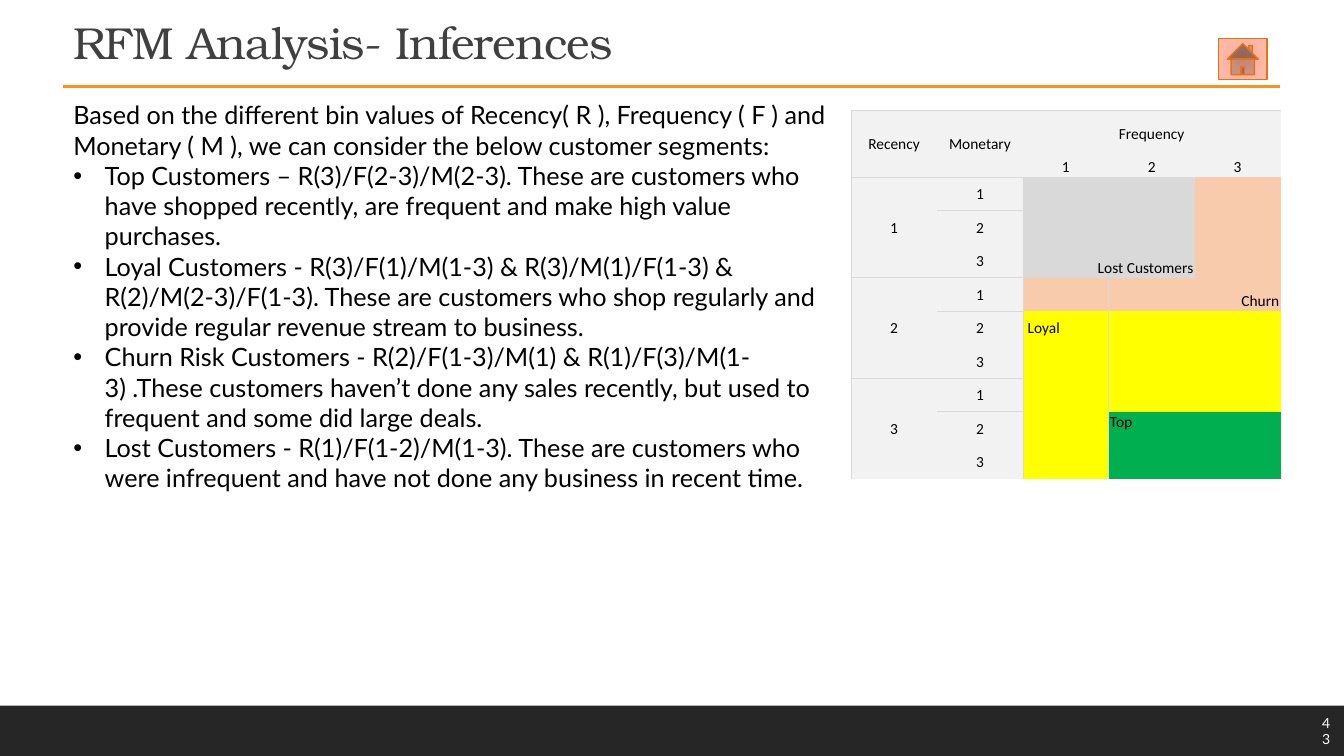
import pptx
import pptx.dml.color
import pptx.enum.shapes
import pptx.enum.text
import pptx.oxml
import pptx.oxml.ns
import pptx.util
from lxml import etree

Cm = pptx.util.Cm
Pt = pptx.util.Pt
ALIGN = pptx.enum.text.PP_ALIGN
ANCHOR = pptx.enum.text.MSO_ANCHOR
SHAPE = pptx.enum.shapes.MSO_SHAPE
qn = pptx.oxml.ns.qn

GREY, RULE = "F2F2F2", "D9D9D9"
LOST, CHURN, LOYAL, TOP = "D9D9D9", "F8CBAD", "FFFF00", "00B050"
NO_STYLE = "{2D5ABB26-0587-4C30-8999-92F81FD0307C}"

INTRO = ("Based on the different bin values of Recency( R ), Frequency ( F ) and Monetary ( M ), "
         "we can consider the below customer segments:")
POINTS = [
    "Top Customers – R(3)/F(2-3)/M(2-3). These are customers who have shopped recently, "
    "are frequent and make high value purchases.",
    "Loyal Customers - R(3)/F(1)/M(1-3) & R(3)/M(1)/F(1-3) & R(2)/M(2-3)/F(1-3). "
    "These are customers who shop regularly and provide regular revenue stream to business.",
    "Churn Risk Customers - R(2)/F(1-3)/M(1) & R(1)/F(3)/M(1-3) .These customers haven’t done "
    "any sales recently, but used to frequent and some did large deals.",
    "Lost Customers - R(1)/F(1-2)/M(1-3). These are customers who were infrequent and have "
    "not done any business in recent time.",
]


def color(code):
    """Turn a hex string into a colour."""
    return pptx.dml.color.RGBColor.from_string(code)


def style(para, font, size, code):
    """Format the runs of a paragraph."""
    for run in para.runs:
        run.font.name = font
        run.font.size = Pt(size)
        run.font.color.rgb = color(code)


def text_box(slide, box, lines, font, size, code):
    """Place wrapped text in a box and return its frame."""
    frame = slide.shapes.add_textbox(*map(Cm, box)).text_frame
    frame.word_wrap = True
    frame.text = "\n".join(lines)
    for para in frame.paragraphs:
        style(para, font, size, code)
    return frame


def header(slide, box):
    """Draw the title, the line below it and the home button."""
    left, top, width, height = box
    frame = text_box(slide, box, ["RFM Analysis- Inferences"], "TeX Gyre Bonum", 32, "404040")
    para = frame.paragraphs[0]
    para.line_spacing = 0.9
    para.runs[0].font._element.set("spc", "-50")
    base = Cm(top + height + 0.17)
    line = slide.shapes.add_connector(pptx.enum.shapes.MSO_CONNECTOR.STRAIGHT,
                                      Cm(left), base, Cm(left + width), base)
    line.line.color.rgb = color("F8931D")
    line.line.width = Pt(2.5)
    etree.SubElement(line._element.spPr, qn("a:effectLst"))
    home(slide, (left + width - 1.55, top + 0.56, 1.22, 1.04))


def home(slide, box):
    """Draw the home button with its soft gradient."""
    shape = slide.shapes.add_shape(SHAPE.ACTION_BUTTON_HOME, *map(Cm, box))
    shape.shadow.inherit = False
    shape.line.color.rgb = color("EC7016")
    shape.line.width = Pt(1)
    stops = "".join(f'<a:gs pos="{pos}"><a:srgbClr val="{code}"/></a:gs>' for pos, code in
                    [(0, "F6A791"), (45000, "FAB6A4"), (100000, "FFBCAA")])
    fill = pptx.oxml.parse_xml(
        f'<a:gradFill {pptx.oxml.ns.nsdecls("a")}><a:gsLst>{stops}</a:gsLst><a:path path="circle">'
        '<a:fillToRect l="100000" t="100000" r="100000" b="100000"/></a:path></a:gradFill>')
    shape._element.spPr.insert(2, fill)


def body(slide, box):
    """Write the intro and the bulleted customer segments."""
    frame = text_box(slide, box, [INTRO, *POINTS], "Lato", 18, "000000")
    for para in frame.paragraphs[1:]:
        props = para._p.get_or_add_pPr()
        props.set("marL", str(Cm(0.79)))
        props.set("indent", str(-Cm(0.79)))
        etree.SubElement(props, qn("a:buFont")).set("typeface", "Arial")
        etree.SubElement(props, qn("a:buChar")).set("char", "•")


def footer(slide, box):
    """Draw the dark bar and the page number at its right end."""
    left, top, width, height = box
    bar = slide.shapes.add_shape(SHAPE.RECTANGLE, *map(Cm, box))
    bar.shadow.inherit = False
    bar.fill.solid()
    bar.fill.fore_color.rgb = color("262626")
    bar.line.fill.background()
    frame = text_box(slide, (left + width - 0.8, top + 0.13, 0.56, 1.02), ["43"],
                     "Lato", 10, "FFFFFF")
    frame.vertical_anchor = ANCHOR.MIDDLE
    frame.paragraphs[0].alignment = ALIGN.JUSTIFY


def segment(rec, mon, freq):
    """Return the fill of the segment for three bin values."""
    if rec == 1:
        return LOST if freq < 3 else CHURN
    if rec == 2:
        return CHURN if mon == 1 else LOYAL
    return TOP if mon > 1 and freq > 1 else LOYAL


def border(cell, sides):
    """Add thin rules on the named sides of a cell."""
    props = cell._tc.get_or_add_tcPr()
    for spot, side in enumerate(s for s in "LRTB" if s in sides):
        props.insert(spot, pptx.oxml.parse_xml(
            f'<a:ln{side} {pptx.oxml.ns.nsdecls("a")} w="6350"><a:solidFill>'
            f'<a:srgbClr val="{RULE}"/></a:solidFill></a:ln{side}>'))


def edges(row, col):
    """Name the ruled sides of the cell at a row and column."""
    first = row == 0 or row >= 2 and (row - 2) % 3 == 0
    last = row == 1 or row in (4, 7)
    if col == 0:
        return "L" + "T" * first + "B" * (first and row < 8)
    if col == 1:
        return "T" * first + "B" * (last or row == 0) + "R" * (row > 1)
    return "T" * (row == 0) + "L" * (col == 2 and row > 1)


def grid(slide, box):
    """Build the table of bins coloured by customer segment."""
    table = slide.shapes.add_table(11, 5, *map(Cm, box)).table
    table.first_row = table.horz_banding = False
    table._tbl.tblPr.find(qn("a:tableStyleId")).text = NO_STYLE
    words = {(0, 0): "Recency", (0, 1): "Monetary", (0, 2): "Frequency"}
    words.update({(1, freq + 1): str(freq) for freq in (1, 2, 3)})
    words.update({(row, 1): str((row - 2) % 3 + 1) for row in range(2, 11)})
    words.update({(3 * rec - 1, 0): str(rec) for rec in (1, 2, 3)})
    notes = {(2, 2): ("Lost Customers", ALIGN.RIGHT, ANCHOR.BOTTOM),
             (5, 4): ("Churn", ALIGN.RIGHT, ANCHOR.BOTTOM),
             (6, 2): ("Loyal", ALIGN.LEFT, ANCHOR.MIDDLE),
             (9, 3): ("Top", ALIGN.LEFT, ANCHOR.TOP)}
    for row in range(11):
        for col in range(5):
            cell = table.cell(row, col)
            anchor = ANCHOR.BOTTOM if row < 2 <= col else ANCHOR.MIDDLE
            text, align, anchor = notes.get(
                (row, col), (words.get((row, col), ""), ALIGN.CENTER, anchor))
            cell.text = text
            cell.vertical_anchor = anchor
            cell.margin_left = Cm(0.12 if text == "Loyal" else 0.03)
            cell.margin_right = cell.margin_top = Cm(0.03)
            cell.margin_bottom = 0
            para = cell.text_frame.paragraphs[0]
            para.alignment = align
            style(para, "Calibri", 11, "000000")
            inner = row > 1 and col > 1
            cell.fill.solid()
            cell.fill.fore_color.rgb = color(
                segment((row + 1) // 3, (row - 2) % 3 + 1, col - 1) if inner else GREY)
            border(cell, edges(row, col))
    spans = [(0, 0, 1, 0), (0, 1, 1, 1), (0, 2, 0, 4), (2, 2, 4, 3)]
    spans += [(row, 0, row + 2, 0) for row in (2, 5, 8)]
    for top, left, bottom, right in spans:
        table.cell(top, left).merge(table.cell(bottom, right))


def main():
    """Build the slide and save it."""
    deck = pptx.Presentation()
    deck.slide_width, deck.slide_height = Cm(33.87), Cm(19.05)
    slide = deck.slides.add_slide(deck.slide_layouts[6])
    footer(slide, (0, 17.78, 33.87, 1.27))
    header(slide, (1.6, 0.41, 30.66, 1.6))
    body(slide, (1.6, 2.39, 19.86, 9.5))
    grid(slide, (21.45, 2.77, 10.82, 9.3))
    deck.save("out.pptx")


if __name__ == "__main__":
    main()
